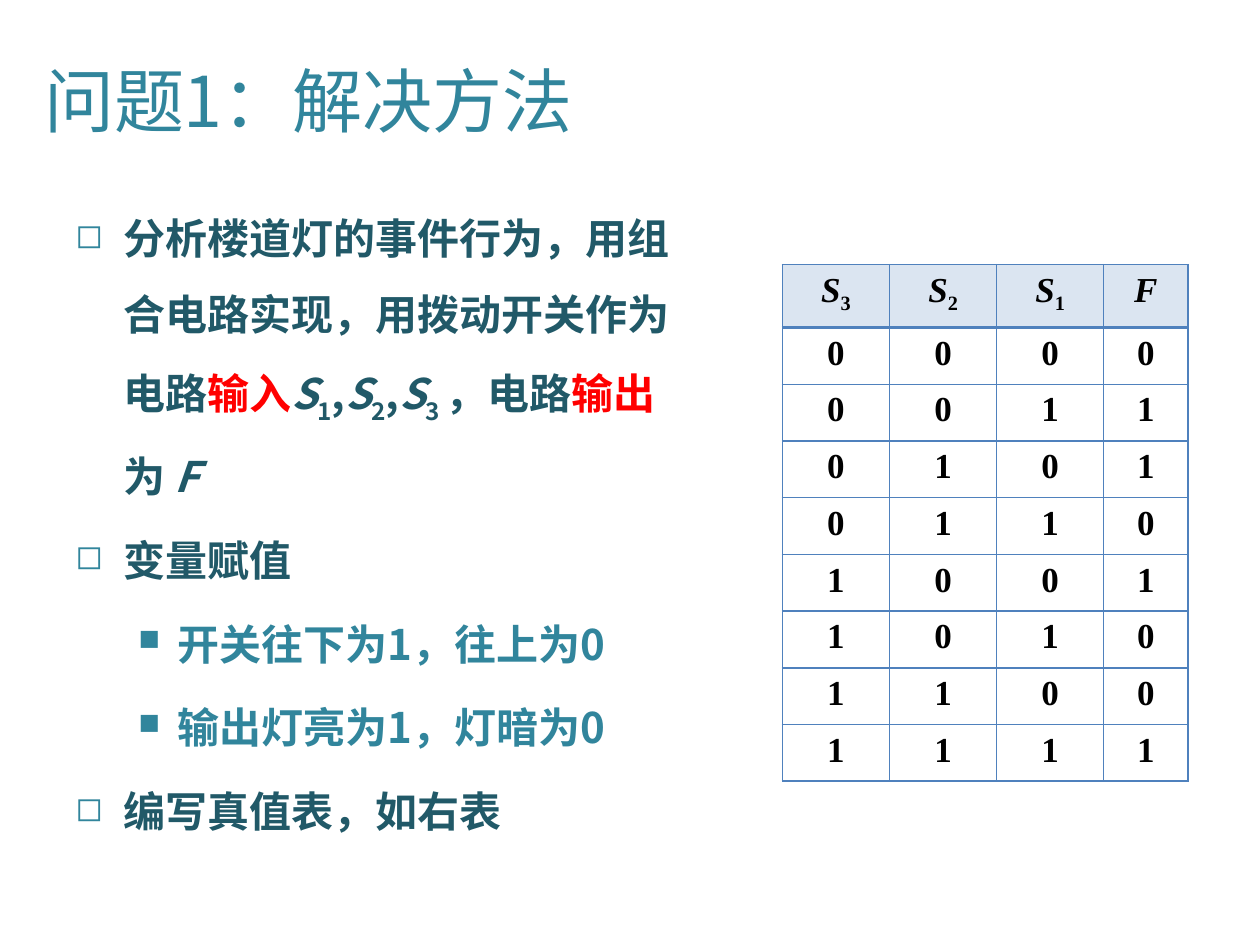
from dataclasses import dataclass
from itertools import product

from lxml import etree
from pptx import Presentation
from pptx.dml.color import RGBColor
from pptx.enum.text import MSO_ANCHOR, PP_ALIGN
from pptx.oxml.ns import qn
from pptx.util import Inches, Pt

MIDDLE = MSO_ANCHOR.MIDDLE
LEFT, CENTER = PP_ALIGN.LEFT, PP_ALIGN.CENTER

COLORS = {
    "teal": "31859C",
    "dark": "215968",
    "red": "FF0000",
    "black": "000000",
    "blue": "4F81BD",
}
SANS = "Noto Sans CJK SC"
SERIF = "Times New Roman"


@dataclass
class Piece:
    text: str
    color: str = "dark"
    italic: bool = False
    subscript: bool = False


@dataclass
class Bullet:
    pieces: list[Piece]
    level: int = 0


@dataclass
class BulletStyle:
    char: str
    percent: int
    left: float
    hanging: float


BULLET_STYLES = [BulletStyle("◻", 80, 0.38, 0.38), BulletStyle("■", 70, 0.81, 0.31)]

BULLETS = [
    Bullet([
        Piece("分析楼道灯的事件行为，用组合电路实现，用拨动开关作为电路"),
        Piece("输入", "red"),
        Piece("S", italic=True), Piece("1", subscript=True), Piece(","),
        Piece("S", italic=True), Piece("2", subscript=True), Piece(","),
        Piece("S", italic=True), Piece("3 ", subscript=True),
        Piece("，电路"), Piece("输出", "red"), Piece("为 "), Piece("F", italic=True),
    ]),
    Bullet([Piece("变量赋值")]),
    Bullet([Piece("开关往下为1，往上为0", "teal")], 1),
    Bullet([Piece("输出灯亮为1，灯暗为0", "teal")], 1),
    Bullet([Piece("编写真值表，如右表")]),
]


def format_span(span, font: str, size: float, color: str, bold: bool) -> None:
    span.font.name = font
    span.font.size = Pt(size)
    span.font.bold = bold
    span.font.color.rgb = RGBColor.from_string(COLORS[color])
    east_asian = etree.SubElement(span._r.get_or_add_rPr(), qn("a:ea"))
    east_asian.set("typeface", font)


def add_pieces(para, pieces: list[Piece], font: str, size: float) -> None:
    for piece in pieces:
        span = para.add_run()
        span.text = piece.text
        format_span(span, font, size, piece.color, True)
        span.font.italic = piece.italic
        if piece.subscript:
            span._r.get_or_add_rPr().set("baseline", "-25000")


def set_bullet(para, style: BulletStyle) -> None:
    properties = para._p.get_or_add_pPr()
    properties.set("marL", str(Inches(style.left)))
    properties.set("indent", str(-Inches(style.hanging)))
    color = etree.SubElement(properties, qn("a:buClr"))
    etree.SubElement(color, qn("a:srgbClr")).set("val", COLORS["teal"])
    etree.SubElement(properties, qn("a:buSzPct")).set("val", str(style.percent * 1000))
    etree.SubElement(properties, qn("a:buChar")).set("char", style.char)


def add_title(page, text: str) -> None:
    title = page.shapes.title
    title.left, title.top = Inches(0.25), Inches(0.27)
    title.width, title.height = Inches(7.66), Inches(1.04)
    frame = title.text_frame
    frame.text = text
    frame.vertical_anchor = MIDDLE
    para = frame.paragraphs[0]
    para.alignment = LEFT
    format_span(para.runs[0], SANS, 40, "teal", False)


def add_bullets(page, bullets: list[Bullet]) -> None:
    box = page.shapes.add_textbox(Inches(0.5), Inches(1.44), Inches(5.13), Inches(5.7))
    frame = box.text_frame
    frame.word_wrap = True
    for index, bullet in enumerate(bullets):
        para = frame.add_paragraph() if index else frame.paragraphs[0]
        para.level = bullet.level
        set_bullet(para, BULLET_STYLES[bullet.level])
        para.line_spacing = 1.5
        para.space_before = Pt(4.8 if index else 0)
        add_pieces(para, bullet.pieces, SANS, 24)


def set_borders(cell, top: float, bottom: float) -> None:
    properties = cell._tc.get_or_add_tcPr()
    widths = {"a:lnL": 1, "a:lnR": 1, "a:lnT": top, "a:lnB": bottom}
    for index, (tag, width) in enumerate(widths.items()):
        line = etree.Element(qn(tag), w=str(Pt(width)))
        fill = etree.SubElement(line, qn("a:solidFill"))
        etree.SubElement(fill, qn("a:srgbClr")).set("val", COLORS["blue"])
        properties.insert(index, line)


def set_header_fill(cell) -> None:
    cell.fill.solid()
    cell.fill.fore_color.rgb = RGBColor.from_string(COLORS["blue"])
    color = cell._tc.tcPr.find(".//" + qn("a:srgbClr"))
    etree.SubElement(color, qn("a:alpha")).set("val", "20000")


def add_truth_table(page) -> None:
    header = [
        [Piece("S", "black", italic=True), Piece(digit, "black", subscript=True)]
        for digit in "321"
    ] + [[Piece("F", "black", italic=True)]]
    rows = [header]
    for switches in product((0, 1), repeat=3):
        values = (*switches, sum(switches) % 2)
        rows.append([[Piece(str(value), "black")] for value in values])

    frame = page.shapes.add_table(
        len(rows), len(header), Inches(6.21), Inches(2.1), Inches(3.22), Inches(4.1))
    table = frame.table
    table.first_row = table.horz_banding = False
    for column, width in zip(table.columns, (0.85, 0.85, 0.85, 0.67)):
        column.width = Inches(width)
    for row_index, row in enumerate(rows):
        table.rows[row_index].height = Inches(0.45 if row_index else 0.5)
        for column_index, pieces in enumerate(row):
            cell = table.cell(row_index, column_index)
            para = cell.text_frame.paragraphs[0]
            para.alignment = CENTER
            add_pieces(para, pieces, SERIF, 20)
            if row_index == 0:
                set_header_fill(cell)
            else:
                cell.fill.background()
            set_borders(cell, 2 if row_index == 1 else 1, 2 if row_index == 0 else 1)


def main() -> None:
    deck = Presentation()
    deck.slide_width, deck.slide_height = Inches(10), Inches(7.5)
    page = deck.slides.add_slide(deck.slide_layouts[5])
    add_title(page, "问题1：解决方法")
    add_bullets(page, BULLETS)
    add_truth_table(page)
    deck.save("out.pptx")


if __name__ == "__main__":
    main()
